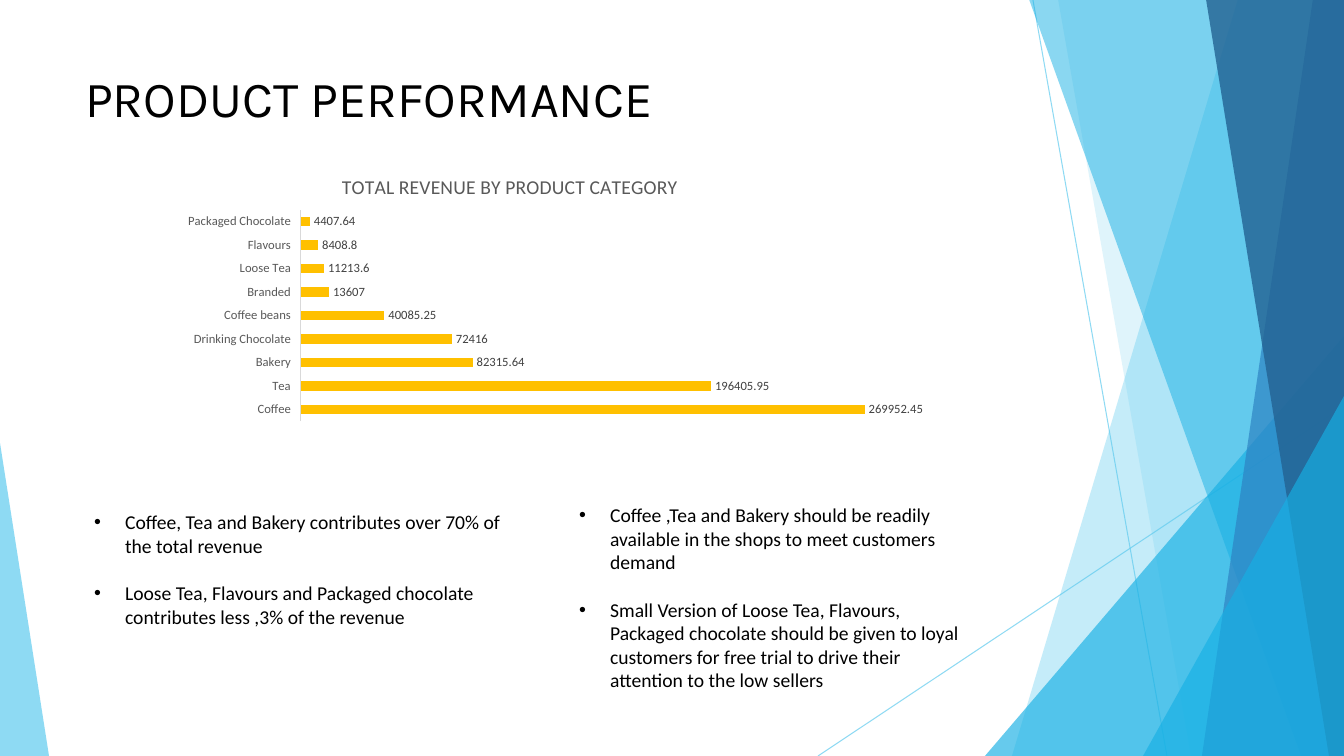
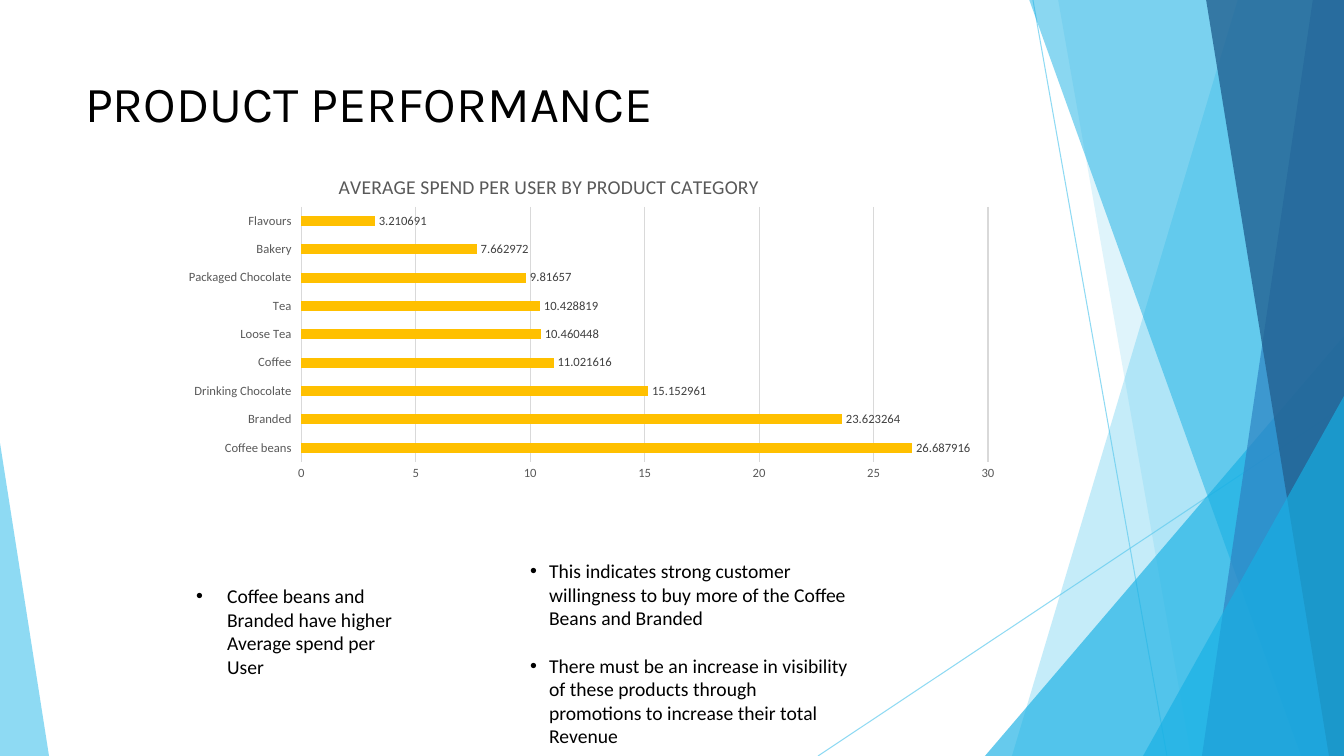
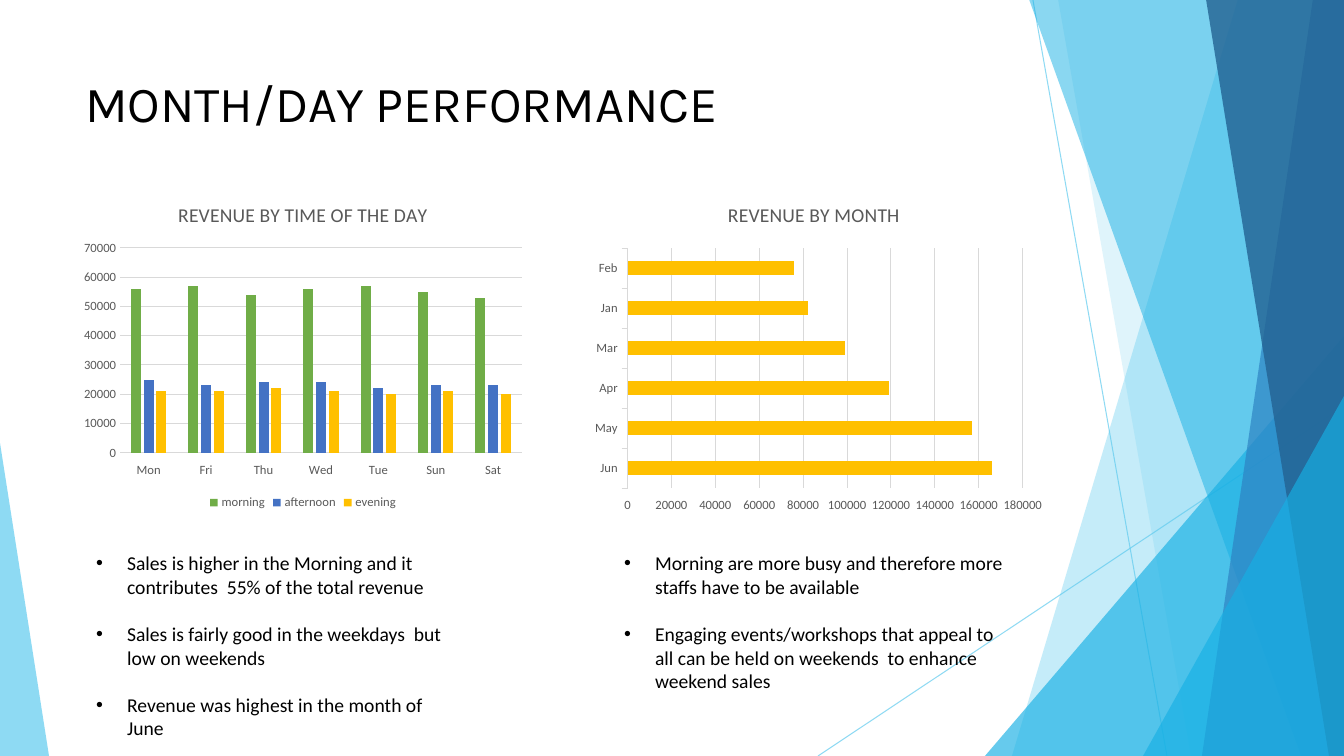
from lxml.etree import SubElement
from pptx import Presentation
from pptx.chart.data import CategoryChartData
from pptx.dml.color import RGBColor
from pptx.enum.chart import XL_CHART_TYPE as ChartType
from pptx.enum.chart import XL_LABEL_POSITION as LabelPosition
from pptx.enum.chart import XL_LEGEND_POSITION as LegendPosition
from pptx.enum.chart import XL_TICK_LABEL_POSITION as TickLabels
from pptx.enum.chart import XL_TICK_MARK as TickMark
from pptx.enum.shapes import MSO_CONNECTOR as Connector
from pptx.enum.text import MSO_ANCHOR as Anchor
from pptx.enum.text import MSO_AUTO_SIZE as AutoSize
from pptx.enum.text import PP_ALIGN as Align
from pptx.oxml.ns import qn
from pptx.util import Pt

PX = 914400 / 100.8
WIDTH, HEIGHT = 1344, 756
TWO_CONTENT = 3

BLACK, DARK_GREY, GREY, PALE_GREY = "000000", "404040", "595959", "D9D9D9"
GOLD, GREEN, BLUE = "FFC000", "70AD47", "4472C4"
SKY, CYAN, MID_BLUE, NAVY = "5FCBEF", "17B0E4", "2E83C3", "236292"

TITLE_FONT, TEXT_FONT, CHART_FONT = "Karla", "Calibri", "Arial"

# Outline, colour, opacity in percent
FACETS = [
    ([(1238, -1), (WIDTH, -1), (WIDTH, HEIGHT), (1012, HEIGHT)], SKY, 36),
    ([(1058, -1), (WIDTH, -1), (WIDTH, HEIGHT), (1191, HEIGHT)], SKY, 20),
    ([(985, HEIGHT), (WIDTH, 336), (WIDTH, HEIGHT)], CYAN, 66),
    ([(1029, -1), (WIDTH, -1), (WIDTH, HEIGHT), (1301, HEIGHT)], CYAN, 50),
    ([(1313, -1), (WIDTH, -1), (WIDTH, HEIGHT), (1202, HEIGHT)], MID_BLUE, 70),
    ([(1206, -1), (WIDTH, -1), (WIDTH, HEIGHT), (1329, HEIGHT)], NAVY, 80),
    ([(1143, HEIGHT), (WIDTH, 396), (WIDTH, HEIGHT)], CYAN, 66),
    ([(0, HEIGHT), (0, 443), (49, HEIGHT)], SKY, 70),
]
FACET_LINES = [(1033, 0, 1167, HEIGHT), (WIDTH, 406, 818, HEIGHT)]


def px(*lengths):
    return [round(length * PX) for length in lengths]


def color(hex_code):
    return RGBColor.from_string(hex_code)


def style_font(font, size, hex_code, name=TEXT_FONT):
    font.size, font.name = Pt(size), name
    font.color.rgb = color(hex_code)


def place(shape, box):
    shape.left, shape.top, shape.width, shape.height = px(*box)


def set_opacity(shape, percent):
    tint = next(shape.element.iter(qn("a:srgbClr")))
    SubElement(tint, qn("a:alpha")).set("val", str(percent * 1000))


def add_facets_to_master(slide, master):
    """Draw the facets as a group on the slide, then move it behind the master's parts."""
    group = slide.shapes.add_group_shape()
    for ends in FACET_LINES:
        edge = group.shapes.add_connector(Connector.STRAIGHT, *px(*ends))
        edge.line.width = Pt(0.75)
        edge.line.color.rgb = color(SKY)
        SubElement(edge.element.spPr, qn("a:effectLst"))
        set_opacity(edge, 70)
    for corners, hex_code, opacity in FACETS:
        outline = group.shapes.build_freeform(*corners[0], scale=PX)
        outline.add_line_segments(corners[1:], close=True)
        facet = outline.convert_to_shape()
        facet.fill.solid()
        facet.fill.fore_color.rgb = color(hex_code)
        facet.line.fill.background()
        facet.shadow.inherit = False
        set_opacity(facet, opacity)
    for number, properties in enumerate(group.element.iter(qn("p:cNvPr")), 100):
        properties.set("id", str(number))
    master.shapes[0].element.addprevious(group.element)


def fill_title(title, text, top):
    place(title, (75, top, 948, 145))
    frame = title.text_frame
    frame.text = text
    frame.auto_size = AutoSize.NONE
    frame.vertical_anchor = Anchor.TOP
    heading = frame.paragraphs[0]
    heading.alignment = Align.LEFT
    style_font(heading.runs[0].font, 36, BLACK, TITLE_FONT)


def fill_list(body, box, points, indent=31):
    place(body, box)
    frame = body.text_frame
    frame.text = "\n".join(points)
    frame.word_wrap = True
    frame.auto_size = AutoSize.NONE
    hang = px(indent)[0]
    for order, point in enumerate(frame.paragraphs):
        point.space_before = Pt(17 if order else 0)
        properties = point._p.get_or_add_pPr()
        properties.set("marL", str(hang))
        properties.set("indent", str(-hang))
        style_font(point.runs[0].font, 14, BLACK)


def style_axis(axis, tick):
    axis.major_tick_mark = tick
    axis.minor_tick_mark = TickMark.NONE
    style_font(axis.tick_labels.font, 9, GREY)


def style_hairline(line):
    line.width = Pt(0.75)
    line.color.rgb = color(PALE_GREY)


def set_plot_layout(chart, fractions):
    """Fix the outer plot area, as x, y, width and height fractions of the chart."""
    plot_area = next(chart.element.iter(qn("c:plotArea")))
    layout = plot_area.find(qn("c:layout"))
    if layout is None:
        layout = SubElement(plot_area, qn("c:layout"))
        plot_area.insert(0, layout)
    manual = SubElement(layout, qn("c:manualLayout"))
    settings = [("layoutTarget", "outer"), ("xMode", "edge"), ("yMode", "edge")]
    settings += zip("xywh", fractions)
    for tag, value in settings:
        SubElement(manual, qn("c:" + tag)).set("val", str(value))


def add_revenue_chart(slide, box, title, categories, series, kind=ChartType.BAR_CLUSTERED,
                      gap=182, overlap=0, layout=None, labels=False, values_shown=True,
                      value_format="General", tick=TickMark.NONE, maximum=None):
    """Add a chart; series holds (name, values, colour) rows."""
    data = CategoryChartData()
    data.categories = categories
    for name, values, _ in series:
        data.add_series(name, values)
    chart = slide.shapes.add_chart(kind, *px(*box), data).chart
    style_font(chart.font, 10, BLACK, CHART_FONT)

    chart.has_title = True
    heading = chart.chart_title.text_frame
    heading.text = title
    run_font = heading.paragraphs[0].runs[0].font
    style_font(run_font, 14, GREY)
    run_font.bold = False
    chart.chart_title.include_in_layout = False

    chart.has_legend = len(series) > 1
    if chart.has_legend:
        chart.legend.position = LegendPosition.BOTTOM
        chart.legend.include_in_layout = False
        style_font(chart.legend.font, 9, GREY)

    style_axis(chart.category_axis, tick)
    chart.category_axis.tick_label_position = TickLabels.LOW
    style_hairline(chart.category_axis.format.line)
    value_axis = chart.value_axis
    value_axis.visible = values_shown
    value_axis.has_major_gridlines = values_shown
    value_axis.maximum_scale = maximum
    if values_shown:
        style_axis(value_axis, tick)
        value_axis.tick_labels.number_format = value_format
        value_axis.tick_labels.number_format_is_linked = False
        value_axis.format.line.fill.background()
        style_hairline(value_axis.major_gridlines.format.line)

    plot = chart.plots[0]
    plot.gap_width, plot.overlap = gap, overlap
    plot.vary_by_categories = False
    for bars, (_, _, hex_code) in zip(plot.series, series):
        bars.format.fill.solid()
        bars.format.fill.fore_color.rgb = color(hex_code)
        if labels:
            bar_labels = bars.data_labels
            bar_labels.show_value = True
            bar_labels.position = LabelPosition.OUTSIDE_END
            style_font(bar_labels.font, 9, DARK_GREY)
    if layout:
        set_plot_layout(chart, layout)


def add_performance_slide(deck, title, title_top, left_list, right_list):
    slide = deck.slides.add_slide(deck.slide_layouts[TWO_CONTENT])
    fill_title(slide.shapes.title, title, title_top)
    fill_list(slide.placeholders[1], **left_list)
    fill_list(slide.placeholders[2], **right_list)
    return slide


def add_category_revenue_slide(deck):
    slide = add_performance_slide(
        deck, "PRODUCT PERFORMANCE", 62,
        dict(box=(84, 505, 440, 129), points=[
            "Coffee, Tea and Bakery contributes over 70% of the total revenue",
            "Loose Tea, Flavours and Packaged chocolate contributes less ,3% of the revenue",
        ]),
        dict(box=(569, 498, 402, 201), points=[
            "Coffee ,Tea and Bakery should be readily available in the shops to meet "
            "customers demand",
            "Small Version of Loose Tea, Flavours, Packaged chocolate should be given to "
            "loyal customers for free trial to drive their attention to the low sellers",
        ]))
    add_revenue_chart(
        slide, (75, 158, 870, 306), "TOTAL REVENUE BY PRODUCT CATEGORY",
        ["Coffee", "Tea", "Bakery", "Drinking Chocolate", "Coffee beans", "Branded",
         "Loose Tea", "Flavours", "Packaged Chocolate"],
        [("Series 1", [269952.45, 196405.95, 82315.64, 72416, 40085.25, 13607,
                       11213.6, 8408.8, 4407.64], GOLD)],
        gap=150, overlap=-25, layout=(0.13, 0.17, 0.85, 0.69), labels=True,
        values_shown=False)
    return slide


def add_average_spend_slide(deck):
    slide = add_performance_slide(
        deck, "PRODUCT PERFORMANCE", 67,
        dict(box=(186, 579, 221, 105), points=[
            "Coffee beans and Branded have higher Average spend per User",
        ]),
        dict(box=(520, 554, 339, 201), indent=19, points=[
            "This indicates strong customer willingness to buy more of the Coffee Beans "
            "and Branded",
            "There must be an increase in visibility of these products through promotions "
            "to increase their total Revenue",
        ]))
    add_revenue_chart(
        slide, (75, 158, 948, 326), "AVERAGE SPEND PER USER BY PRODUCT CATEGORY",
        ["Coffee beans", "Branded", "Drinking Chocolate", "Coffee", "Loose Tea", "Tea",
         "Packaged Chocolate", "Bakery", "Flavours"],
        [("Series 1", [26.687916, 23.623264, 15.152961, 11.021616, 10.460448, 10.428819,
                       9.81657, 7.662972, 3.210691], GOLD)],
        layout=(0.12, 0.15, 0.85, 0.84), labels=True, value_format="0")


def add_month_day_slide(deck):
    slide = add_performance_slide(
        deck, "MONTH/DAY PERFORMANCE", 67,
        dict(box=(86, 546, 369, 209), points=[
            "Sales is higher in the Morning and it contributes  55% of the total revenue",
            "Sales is fairly good in the weekdays  but low on weekends",
            "Revenue was highest in the month of June",
        ]),
        dict(box=(614, 546, 400, 152), points=[
            "Morning are more busy and therefore more staffs have to be available",
            "Engaging events/workshops that appeal to all can be held on weekends  to "
            "enhance weekend sales",
        ]))
    add_revenue_chart(
        slide, (75, 186, 456, 328), "REVENUE BY TIME OF THE DAY",
        ["Mon", "Fri", "Thu", "Wed", "Tue", "Sun", "Sat"],
        [("morning", [56000, 57000, 54000, 56000, 57000, 55000, 53000], GREEN),
         ("afternoon", [25000, 23000, 24000, 24000, 22000, 23000, 23000], BLUE),
         ("evening", [21000, 21000, 22000, 21000, 20000, 21000, 20000], GOLD)],
        kind=ChartType.COLUMN_CLUSTERED, gap=219, overlap=-27, maximum=70000)
    add_revenue_chart(
        slide, (586, 186, 456, 327), "REVENUE BY MONTH",
        ["Jun", "May", "Apr", "Mar", "Jan", "Feb"],
        [("Series 1", [166000, 157000, 119000, 99000, 82000, 76000], GOLD)],
        layout=(0.02, 0.19, 0.98, 0.81), tick=TickMark.OUTSIDE)


def main():
    deck = Presentation()
    deck.slide_width, deck.slide_height = px(WIDTH, HEIGHT)
    first_slide = add_category_revenue_slide(deck)
    add_facets_to_master(first_slide, deck.slide_master)
    add_average_spend_slide(deck)
    add_month_day_slide(deck)
    deck.save("out.pptx")


if __name__ == "__main__":
    main()
